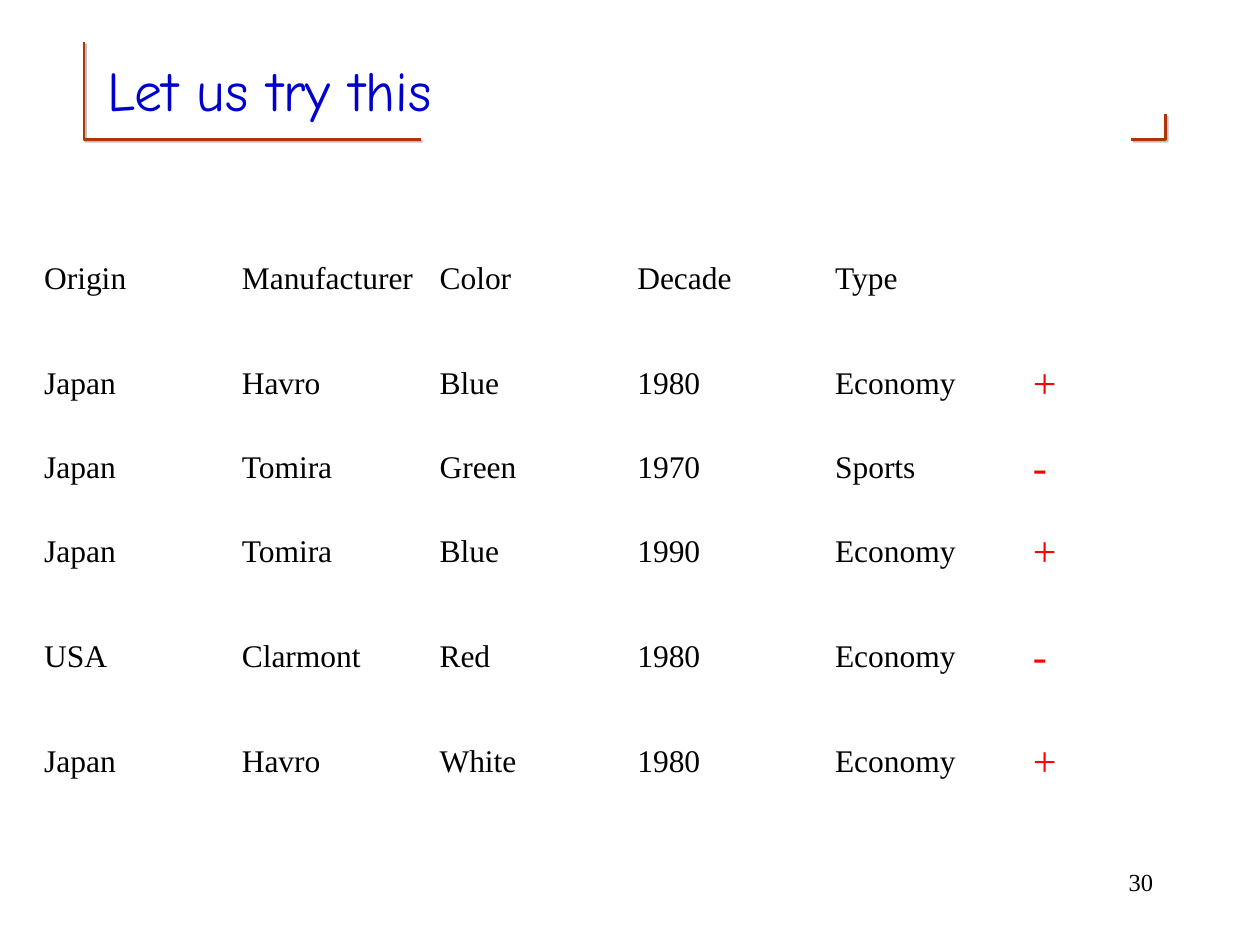
from lxml import etree
from pptx import Presentation
from pptx.dml.color import RGBColor
from pptx.enum.text import MSO_ANCHOR, MSO_AUTO_SIZE, PP_ALIGN
from pptx.oxml.ns import nsdecls
from pptx.util import Inches, Pt

LEFT, RIGHT = PP_ALIGN.LEFT, PP_ALIGN.RIGHT
TOP, MIDDLE = MSO_ANCHOR.TOP, MSO_ANCHOR.MIDDLE
NO_AUTOFIT = MSO_AUTO_SIZE.NONE

THEME = {
    "title_font": "Comic Neue", "body_font": "Times New Roman",
    "title_size": 32, "body_size": 18, "mark_size": 24, "number_size": 14,
    "title_color": "0000CC", "body_color": "000000", "mark_color": "FF0000",
    "rule_color": "AF3408", "shadow_color": "808080",
}

presentation = Presentation()
presentation.slide_width, presentation.slide_height = Inches(10), Inches(7.5)
COLUMN = presentation.slide_width // 120
ROW = presentation.slide_height // 90


def place(shape, left, top, width, height):
    """Position a shape in grid columns and rows."""
    shape.left, shape.top = left * COLUMN, top * ROW
    shape.width, shape.height = width * COLUMN, height * ROW


def write(text_frame, text, font="body_font", size="body_size", color="body_color",
          align=LEFT, space_before=0):
    paragraph = text_frame.paragraphs[0]
    paragraph.alignment = align
    paragraph.space_before = Pt(space_before)
    run = paragraph.add_run()
    run.text = text
    run.font.name = THEME[font]
    run.font.size = Pt(THEME[size])
    run.font.color.rgb = RGBColor.from_string(THEME[color])


slide = presentation.slides.add_slide(presentation.slide_layouts[5])

# Corner brackets around the title
SHADOW = (
    f'<a:effectLst {nsdecls("a")}>'
    f'<a:outerShdw blurRad="0" dist="{Pt(1.4)}" dir="2700000" algn="ctr" rotWithShape="0">'
    f'<a:srgbClr val="{THEME["shadow_color"]}"><a:alpha val="50000"/></a:srgbClr>'
    "</a:outerShdw></a:effectLst>"
)
brackets = [
    [(8, 4), (8, 13.3), (40.1, 13.3)],
    [(111, 10.9), (111, 13.3), (107.7, 13.3)],
]
for corners in brackets:
    start, *others = [(round(x * COLUMN), round(y * ROW)) for x, y in corners]
    builder = slide.shapes.build_freeform(*start)
    builder.add_line_segments(others, close=False)
    bracket = builder.convert_to_shape()
    bracket.fill.background()
    bracket.line.color.rgb = RGBColor.from_string(THEME["rule_color"])
    bracket.line.width = Pt(1.5)
    bracket._element.spPr.append(etree.fromstring(SHADOW))

# Title
title = slide.shapes.title
place(title, 9, 3, 102, 11)
title.text_frame.auto_size = NO_AUTOFIT
title.text_frame.vertical_anchor = MIDDLE
write(title.text_frame, "Let us try this", font="title_font",
      size="title_size", color="title_color")

# Slide number
number = slide.shapes.add_textbox(0, 0, 0, 0)
place(number, 86, 82, 25, 6)
number.text_frame.word_wrap = True
number.text_frame.vertical_anchor = TOP
write(number.text_frame, "30", size="number_size", align=RIGHT, space_before=8.8)

# Training examples
examples = [
    ["Origin", "Manufacturer", "Color", "Decade", "Type", ""],
    ["Japan", "Havro", "Blue", "1980", "Economy", "+"],
    ["Japan", "Tomira", "Green", "1970", "Sports", "-"],
    ["Japan", "Tomira", "Blue", "1990", "Economy", "+"],
    ["USA", "Clarmont", "Red", "1980", "Economy", "-"],
    ["Japan", "Havro", "White", "1980", "Economy", "+"],
]
row_heights = [10, 10, 6, 10, 10, 10]
table_width = 113 * COLUMN
table = slide.shapes.add_table(
    len(examples), len(examples[0]), 3 * COLUMN, round(21.6 * ROW),
    table_width, sum(row_heights) * ROW,
).table
table.first_row = False
table.horz_banding = False
for column in table.columns:
    column.width = table_width // len(examples[0])
for row_index, (values, height) in enumerate(zip(examples, row_heights)):
    table.rows[row_index].height = height * ROW
    for column_index, value in enumerate(values):
        cell = table.cell(row_index, column_index)
        cell.fill.background()
        cell.vertical_anchor = MIDDLE
        if value in ("+", "-"):
            write(cell.text_frame, value, size="mark_size", color="mark_color")
        elif value:
            write(cell.text_frame, value)

presentation.save("out.pptx")
